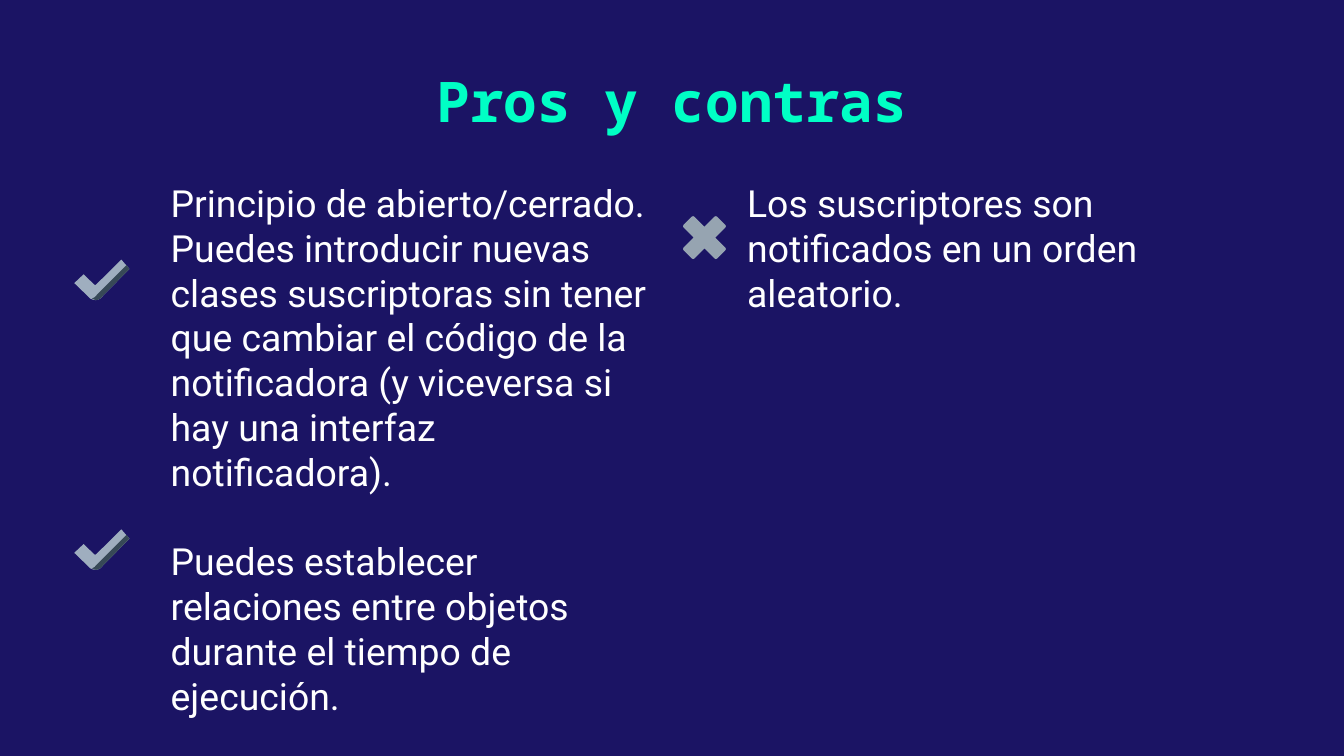
from dataclasses import dataclass

from pptx import Presentation
from pptx.dml.color import RGBColor
from pptx.enum.text import MSO_ANCHOR, MSO_AUTO_SIZE, PP_ALIGN
from pptx.util import Pt

TOP, MIDDLE = MSO_ANCHOR.TOP, MSO_ANCHOR.MIDDLE
LEFT, CENTER = PP_ALIGN.LEFT, PP_ALIGN.CENTER
NO_FIT = MSO_AUTO_SIZE.NONE
TITLE_ONLY = 5


@dataclass(frozen=True)
class Theme:
    back: str = "1B1464"
    accent: str = "00FFC5"
    text: str = "FFFFFF"
    tick: str = "9FAEBF"
    shade: str = "374957"
    cross: str = "96A4B1"
    head_font: str = "Noto Sans Mono"
    body_font: str = "Roboto"
    head_size: float = 30
    body_size: float = 20
    gap: float = 24
    inset: float = 7.2


THEME = Theme()
HEAD = dict(name=THEME.head_font, size=Pt(THEME.head_size), bold=True)
BODY = dict(name=THEME.body_font, size=Pt(THEME.body_size), bold=False)

PROS = [
    "Principio de abierto/cerrado. Puedes introducir nuevas clases suscriptoras "
    "sin tener que cambiar el código de la notificadora (y viceversa si hay una "
    "interfaz notificadora).",
    "Puedes establecer relaciones entre objetos durante el tiempo de ejecución.",
]
CONS = ["Los suscriptores son notificados en un orden aleatorio."]

# Outlines in points, from the top left of the tick and the middle of the cross
TICK = [(25.2, 0), (11.7, 13.4), (11.2, 13.6), (10.7, 13.4), (5, 7.9),
        (0, 12.6), (8.6, 20.9), (10, 21.5), (11.5, 21.7), (12.8, 21.5),
        (13.9, 20.9), (29.5, 5)]
SHADE = [(28, 2.9), (10.8, 20.2), (9.4, 20.9), (11.5, 21.7), (12.8, 21.5),
         (13.9, 20.9), (29.5, 5)]
ARM = [(0, -5.8), (5.4, -11.2), (6.1, -11.5), (6.8, -11.2),
       (11.2, -6.8), (11.5, -6.1), (11.2, -5.4)]


def color(code):
    return RGBColor.from_string(code)


def apply(item, values):
    for key, value in values.items():
        setattr(item, key, value)


def write(shape, lines, font, ink, align=LEFT, anchor=TOP):
    frame = shape.text_frame
    sides = ("left", "top", "right", "bottom")
    apply(frame, {f"margin_{side}": Pt(THEME.inset) for side in sides})
    apply(frame, dict(word_wrap=True, auto_size=NO_FIT, vertical_anchor=anchor))
    for i, line in enumerate(lines):
        para = frame.add_paragraph() if i else frame.paragraphs[0]
        apply(para, dict(alignment=align, space_before=Pt(THEME.gap if i else 0)))
        run = para.add_run()
        run.text = line
        apply(run.font, font)
        run.font.color.rgb = color(ink)


def outline(shapes, points, left, top, ink):
    (x, y), *rest = [(Pt(left + x), Pt(top + y)) for x, y in points]
    pen = shapes.build_freeform(x, y)
    pen.add_line_segments(rest, close=True)
    shape = pen.convert_to_shape()
    shape.shadow.inherit = False
    shape.fill.solid()
    shape.fill.fore_color.rgb = color(ink)
    shape.line.fill.background()


def add_title(slide, text, box):
    title = slide.shapes.title
    apply(title, dict(zip(("left", "top", "width", "height"), map(Pt, box))))
    write(title, [text], HEAD, THEME.accent, CENTER, MIDDLE)


def add_column(slide, lines, box):
    write(slide.shapes.add_textbox(*map(Pt, box)), lines, BODY, THEME.text)


def add_tick(slide, left, top):
    group = slide.shapes.add_group_shape()
    outline(group.shapes, TICK, left, top, THEME.tick)
    outline(group.shapes, SHADE, left, top, THEME.shade)


def add_cross(slide, left, top):
    """Turn one arm by quarters about the middle."""
    points, arm = [], ARM
    for _ in range(4):
        points += arm
        arm = [(-y, x) for x, y in arm]
    outline(slide.shapes, points, left, top, THEME.cross)


def main():
    deck = Presentation()
    apply(deck, dict(slide_width=Pt(720), slide_height=Pt(405)))
    slide = deck.slides.add_slide(deck.slide_layouts[TITLE_ONLY])
    slide.background.fill.solid()
    slide.background.fill.fore_color.rgb = color(THEME.back)

    add_title(slide, "Pros y contras", (100.8, 27.4, 518.4, 52.6))
    for left, lines in ((84.4, PROS), (393.2, CONS)):
        add_column(slide, lines, (left, 89.3, 274.4, 259.2))
    for top in (139.1, 283.6):
        add_tick(slide, 39.8, top)
    add_cross(slide, 377.4, 127.3)
    deck.save("out.pptx")


if __name__ == "__main__":
    main()
